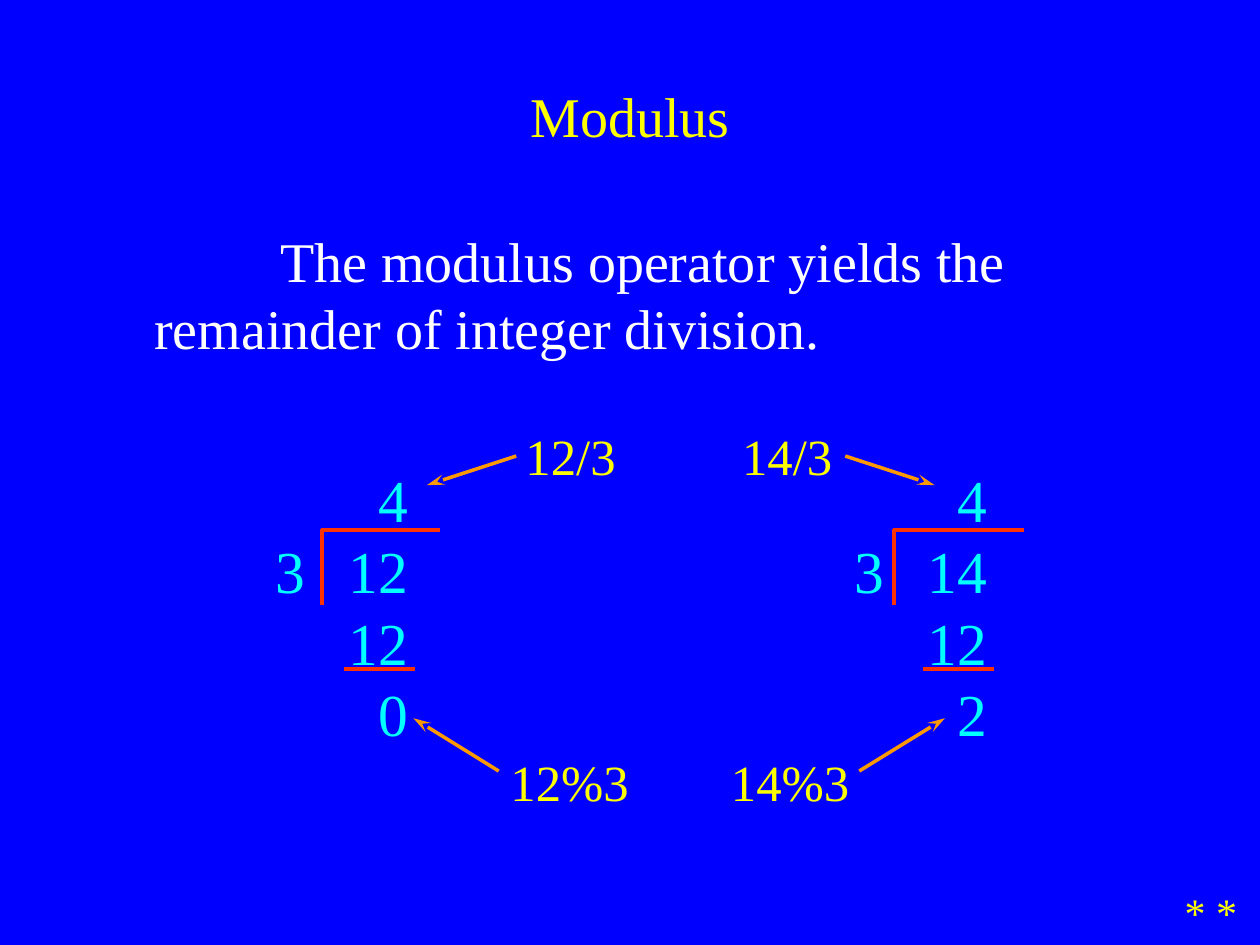
from lxml.etree import SubElement
from pptx import Presentation
from pptx.dml.color import RGBColor
from pptx.enum.shapes import MSO_CONNECTOR
from pptx.enum.text import MSO_ANCHOR, PP_ALIGN
from pptx.oxml.ns import qn
from pptx.util import Pt

COLORS = {"background": "0000FF", "yellow": "FFFF00", "white": "FFFFFF",
          "cyan": "00FFFF", "red": "FF3300", "orange": "FF9900"}
FONT = "Times New Roman"
PITCH = 1.2
TITLE = "Modulus"
BODY = "The modulus operator yields the remainder of integer division."
MARKS = "* *"
LABELS = [
    {"text": "12/3", "at": (291.6, 238.3), "arrow": (295, 260.6, 244, 277.2)},
    {"text": "14/3", "at": (415.4, 238.3), "arrow": (483, 260.6, 534, 277.2)},
    {"text": "12%3", "at": (283, 424.8), "arrow": (285, 440.6, 236.2, 410.4)},
    {"text": "14%3", "at": (409, 424.8), "arrow": (491, 440.6, 540, 410.4)},
]
DIVISIONS = [
    {"divisor": "3", "digits": ["4", "12", "12", "0"], "left": 149, "bracket": (184, 251.3)},
    {"divisor": "3", "digits": ["4", "14", "12", "2"], "left": 479.8, "bracket": (511, 585.4)},
]


def rgb(name):
    return RGBColor.from_string(COLORS[name])


def write(shape, lines, size, color, align=PP_ALIGN.LEFT, inset=(7.2, 3.6),
          margin=0, indent=0):
    tf = shape.text_frame
    x, y = map(Pt, inset)
    frame = {"word_wrap": True, "margin_left": x, "margin_right": x,
             "margin_top": y, "margin_bottom": y}
    for key, value in frame.items():
        setattr(tf, key, value)
    for i, line in enumerate(lines):
        p = tf.paragraphs[0] if i == 0 else tf.add_paragraph()
        p.alignment = align
        p.line_spacing = Pt(size * PITCH)
        pPr = p._p.get_or_add_pPr()
        pPr.set("marL", str(Pt(margin)))
        pPr.set("indent", str(Pt(indent)))
        r = p.add_run()
        r.text = line
        for key, value in {"name": FONT, "size": Pt(size), "bold": False}.items():
            setattr(r.font, key, value)
        r.font.color.rgb = rgb(color)


def add_text(s, box, lines, size, color, **format_values):
    sp = s.shapes.add_textbox(*map(Pt, box))
    write(sp, lines, size, color, **format_values)


def add_line(s, points, color, arrow=False):
    sp = s.shapes.add_connector(MSO_CONNECTOR.STRAIGHT, *map(Pt, points))
    sp.line.color.rgb = rgb(color)
    sp.line.width = Pt(2)
    if arrow:
        SubElement(sp.line._get_or_add_ln(), qn("a:tailEnd"), type="stealth", len="lg")
    SubElement(sp._element.spPr, qn("a:effectLst"))


def add_division(s, divisor, digits, left, bracket):
    x1, x2 = bracket
    top, size = 260.3, 34
    pitch = size * PITCH
    style = {"size": size, "color": "cyan", "inset": (8.64, 4.32)}
    add_line(s, (x1, 345.6, x1, 302.4), "red")
    add_line(s, (x1 - 0.6, 303, x2, 303), "red")
    add_text(s, (left, top + pitch, 40, pitch + 8.64), [divisor], **style)
    add_text(s, (left + 22.8, top, 70, 172), digits, align=PP_ALIGN.RIGHT, **style)
    add_line(s, (left + 47.5, 382.3, left + 88.3, 382.3), "red")


def main():
    prs = Presentation()
    prs.slide_width, prs.slide_height = Pt(720), Pt(540)
    s = prs.slides.add_slide(prs.slide_layouts[5])
    s.background.fill.solid()
    s.background.fill.fore_color.rgb = rgb("background")

    title = s.shapes.title
    place = {"left": 54, "top": 36, "width": 612, "height": 60}
    for key, value in place.items():
        setattr(title, key, Pt(value))
    title.text_frame.vertical_anchor = MSO_ANCHOR.MIDDLE
    write(title, [TITLE], 32, "yellow", align=PP_ALIGN.CENTER)

    add_text(s, (54, 126, 612, 104), [BODY], 32, "white", margin=27, indent=72)
    for label in LABELS:
        add_text(s, (*label["at"], 90, 44), [label["text"]], 29, "yellow",
                 inset=(8.64, 4.32))
        add_line(s, label["arrow"], "orange", arrow=True)
    for division in DIVISIONS:
        add_division(s, **division)
    add_text(s, (640, 503.3, 74, 36), [MARKS], 24, "yellow", align=PP_ALIGN.RIGHT)
    prs.save("out.pptx")


if __name__ == "__main__":
    main()
